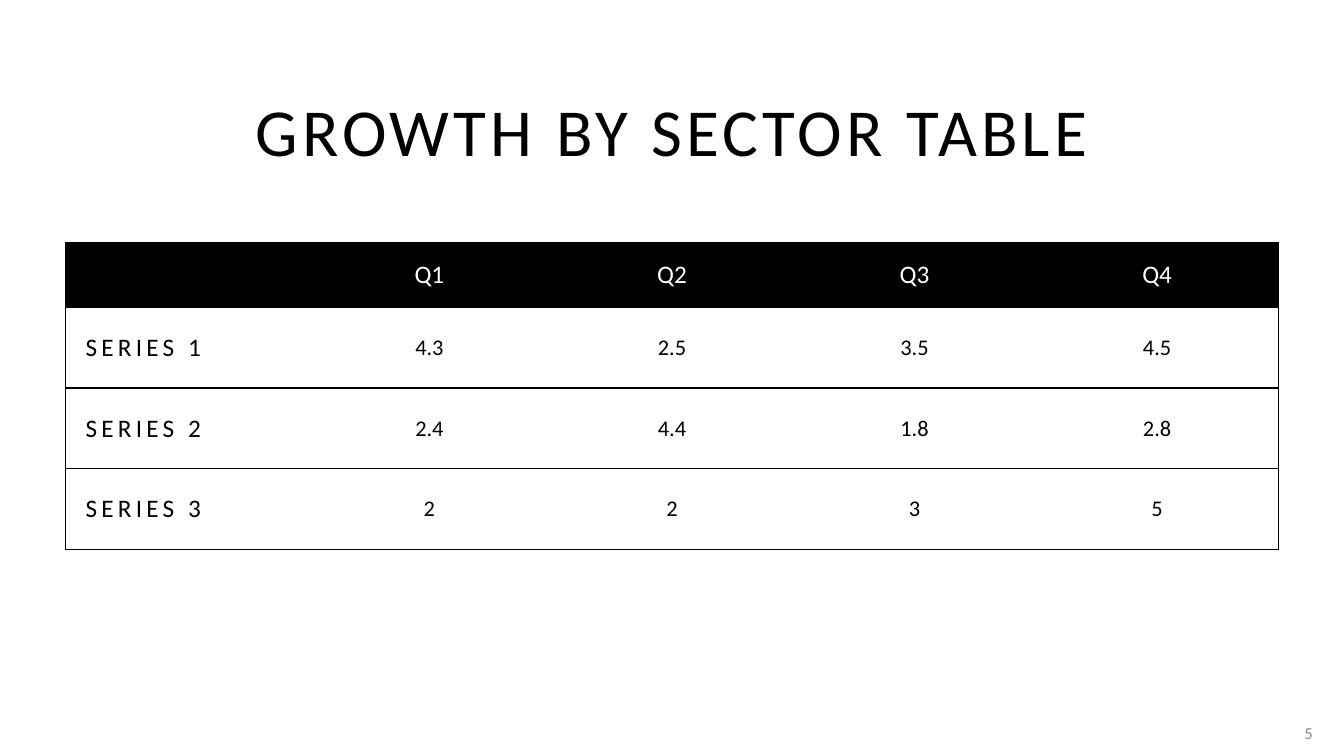
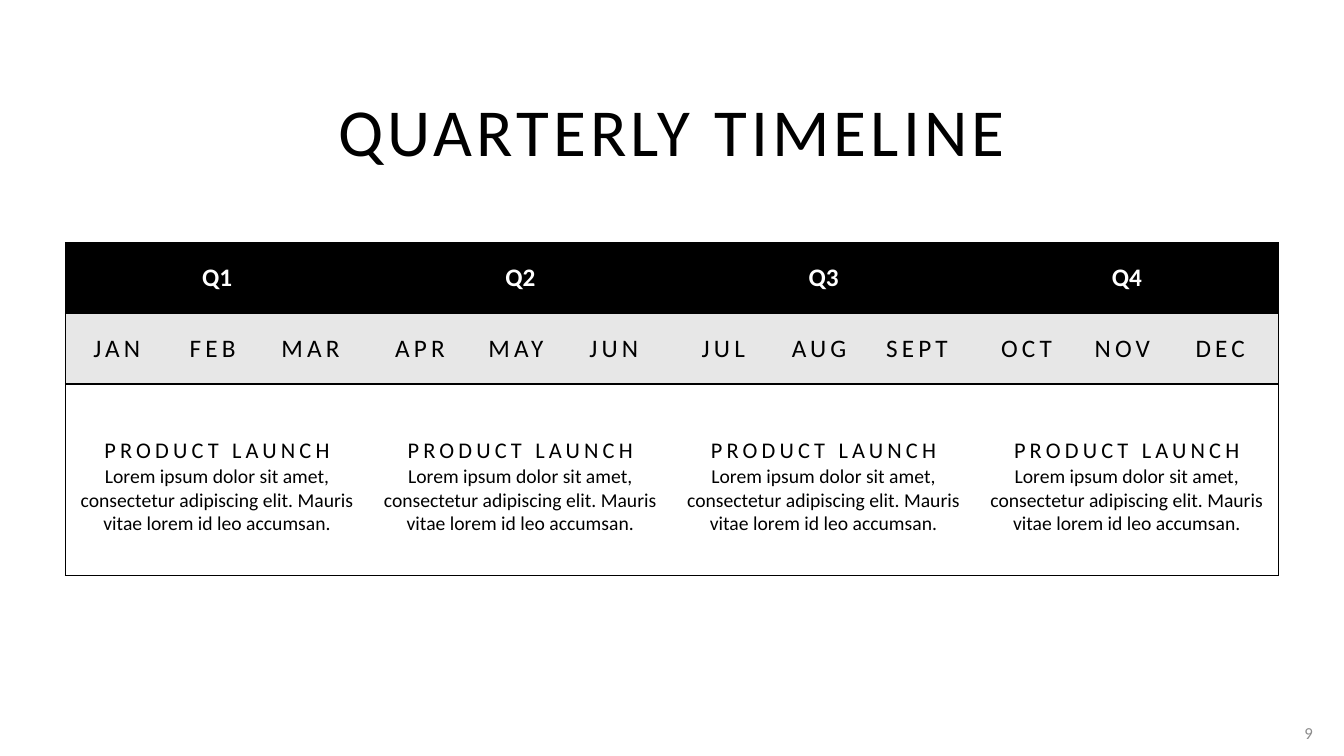
from dataclasses import dataclass
from typing import NamedTuple

from lxml.etree import SubElement
from pptx import Presentation
from pptx.dml.color import RGBColor
from pptx.enum.text import MSO_ANCHOR, PP_ALIGN
from pptx.oxml.ns import qn
from pptx.util import Inches, Pt

COLORS = {
    "black": "000000",
    "white": "FFFFFF",
    "band": "E7E7E7",
    "page_number": "8C8C8C",
}
FONT = "Calibri"
NO_STYLE_TABLE = "{2D5ABB26-0587-4C30-8999-92F81FD0307C}"
TABLE_LEFT, TABLE_TOP, TABLE_WIDTH = 0.65, 2.41, 12.03
MONTH_TABS = [0.43 + 0.95 * month for month in range(3)]


@dataclass(frozen=True)
class TextStyle:
    size: int
    color: str = "black"
    bold: bool = False
    spacing: int = 0
    align: PP_ALIGN = PP_ALIGN.CENTER
    line_spacing: float = 1.0
    tabs: tuple[float, ...] = ()


class Line(NamedTuple):
    text: str
    style: TextStyle


@dataclass(frozen=True)
class Cell:
    lines: tuple[Line, ...] = ()
    margin_left: float = 0.1


@dataclass(frozen=True)
class Row:
    height: float
    fill: str
    cells: list[Cell]


TITLE = TextStyle(48, spacing=3)
PAGE_NUMBER = TextStyle(12, "page_number", align=PP_ALIGN.RIGHT)
HEADER = TextStyle(18, "white")
BOLD_HEADER = TextStyle(18, "white", bold=True)
SERIES = TextStyle(18, spacing=3, align=PP_ALIGN.LEFT)
VALUE = TextStyle(16)
MONTHS = TextStyle(18, spacing=3, align=PP_ALIGN.LEFT, tabs=tuple(MONTH_TABS))
EVENT = TextStyle(16, spacing=3, line_spacing=1.5)
BODY = TextStyle(14)

QUARTERS = ["Q1", "Q2", "Q3", "Q4"]
GROWTH = {
    "SERIES 1": ["4.3", "2.5", "3.5", "4.5"],
    "SERIES 2": ["2.4", "4.4", "1.8", "2.8"],
    "SERIES 3": ["2", "2", "3", "5"],
}
QUARTER_MONTHS = [
    ("JAN", "FEB", "MAR"),
    ("APR", "MAY", "JUN"),
    ("JUL", "AUG", "SEPT"),
    ("OCT", "NOV", "DEC"),
]
LAUNCH = (
    Line("PRODUCT LAUNCH", EVENT),
    Line("Lorem ipsum dolor sit amet, consectetur adipiscing elit. "
         "Mauris vitae lorem id leo accumsan.", BODY),
)


def set_attributes(target, values: dict) -> None:
    for name, value in values.items():
        setattr(target, name, value)


def write_lines(text_frame, lines: tuple[Line, ...]) -> None:
    for index, (text, style) in enumerate(lines):
        paragraph = text_frame.add_paragraph() if index else text_frame.paragraphs[0]
        set_attributes(paragraph, {"alignment": style.align, "line_spacing": style.line_spacing})
        if style.tabs:
            tab_list = SubElement(paragraph._p.get_or_add_pPr(), qn("a:tabLst"))
            for position in style.tabs:
                SubElement(tab_list, qn("a:tab"), pos=str(Inches(position)), algn="ctr")
        run = paragraph.add_run()
        run.text = text
        set_attributes(run.font, {"name": FONT, "size": Pt(style.size), "bold": style.bold})
        run.font.color.rgb = RGBColor.from_string(COLORS[style.color])
        run.font._element.set("spc", str(style.spacing * 100))


def add_text(slide, box: tuple[float, ...], line: Line, anchor: MSO_ANCHOR) -> None:
    text_frame = slide.shapes.add_textbox(*map(Inches, box)).text_frame
    set_attributes(text_frame, {"word_wrap": True, "vertical_anchor": anchor})
    write_lines(text_frame, (line,))


def add_borders(table_cell, sides: list[str]) -> None:
    """Draw thin black borders on the named sides (L, R, T, B, in that order)."""
    properties = table_cell._tc.get_or_add_tcPr()
    for side in sides:
        border = SubElement(properties, qn(f"a:ln{side}"), w=str(Pt(1)))
        fill = SubElement(border, qn("a:solidFill"))
        SubElement(fill, qn("a:srgbClr"), val=COLORS["black"])


def add_grid(slide, rows: list[Row]) -> None:
    column_count = len(rows[0].cells)
    frame = slide.shapes.add_table(
        len(rows), column_count, Inches(TABLE_LEFT), Inches(TABLE_TOP),
        Inches(TABLE_WIDTH), Inches(sum(row.height for row in rows)))
    table = frame.table
    set_attributes(table, {"first_row": False, "horz_banding": False})
    for style_id in frame._element.iter(qn("a:tableStyleId")):
        style_id.text = NO_STYLE_TABLE
    for column in table.columns:
        column.width = Inches(TABLE_WIDTH / column_count)
    for row_index, row in enumerate(rows):
        table.rows[row_index].height = Inches(row.height)
        for column_index, cell in enumerate(row.cells):
            table_cell = table.cell(row_index, column_index)
            set_attributes(table_cell, {
                "vertical_anchor": MSO_ANCHOR.MIDDLE,
                "margin_left": Inches(cell.margin_left),
            })
            left = ["L"] if column_index == 0 else []
            right = ["R"] if column_index == column_count - 1 else []
            add_borders(table_cell, [*left, *right, "T", "B"])
            table_cell.fill.solid()
            table_cell.fill.fore_color.rgb = RGBColor.from_string(COLORS[row.fill])
            write_lines(table_cell.text_frame, cell.lines)


def text_cells(texts: list[str], style: TextStyle) -> list[Cell]:
    return [Cell((Line(text, style),)) for text in texts]


def growth_rows() -> list[Row]:
    header = Row(0.64, "black", [Cell(), *text_cells(QUARTERS, HEADER)])
    return [header] + [
        Row(0.8, "white", [Cell((Line(name, SERIES),), 0.2), *text_cells(values, VALUE)])
        for name, values in GROWTH.items()
    ]


def timeline_rows() -> list[Row]:
    months = ["\t" + "\t".join(names) for names in QUARTER_MONTHS]
    return [
        Row(0.7, "black", text_cells(QUARTERS, BOLD_HEADER)),
        Row(0.7, "band", text_cells(months, MONTHS)),
        Row(1.9, "white", [Cell(LAUNCH) for _ in QUARTERS]),
    ]


def add_table_slide(presentation, title: str, rows: list[Row], number: int) -> None:
    slide = presentation.slides.add_slide(presentation.slide_layouts[6])
    add_text(slide, (TABLE_LEFT, 0.15, TABLE_WIDTH, 1.59), Line(title, TITLE), MSO_ANCHOR.BOTTOM)
    add_grid(slide, rows)
    add_text(slide, (12.63, 7.07, 0.49, 0.4), Line(str(number), PAGE_NUMBER), MSO_ANCHOR.MIDDLE)


def main() -> None:
    presentation = Presentation()
    set_attributes(presentation, {"slide_width": Inches(13.33), "slide_height": Inches(7.5)})
    add_table_slide(presentation, "GROWTH BY SECTOR TABLE", growth_rows(), 5)
    add_table_slide(presentation, "QUARTERLY TIMELINE", timeline_rows(), 9)
    presentation.save("out.pptx")


if __name__ == "__main__":
    main()
